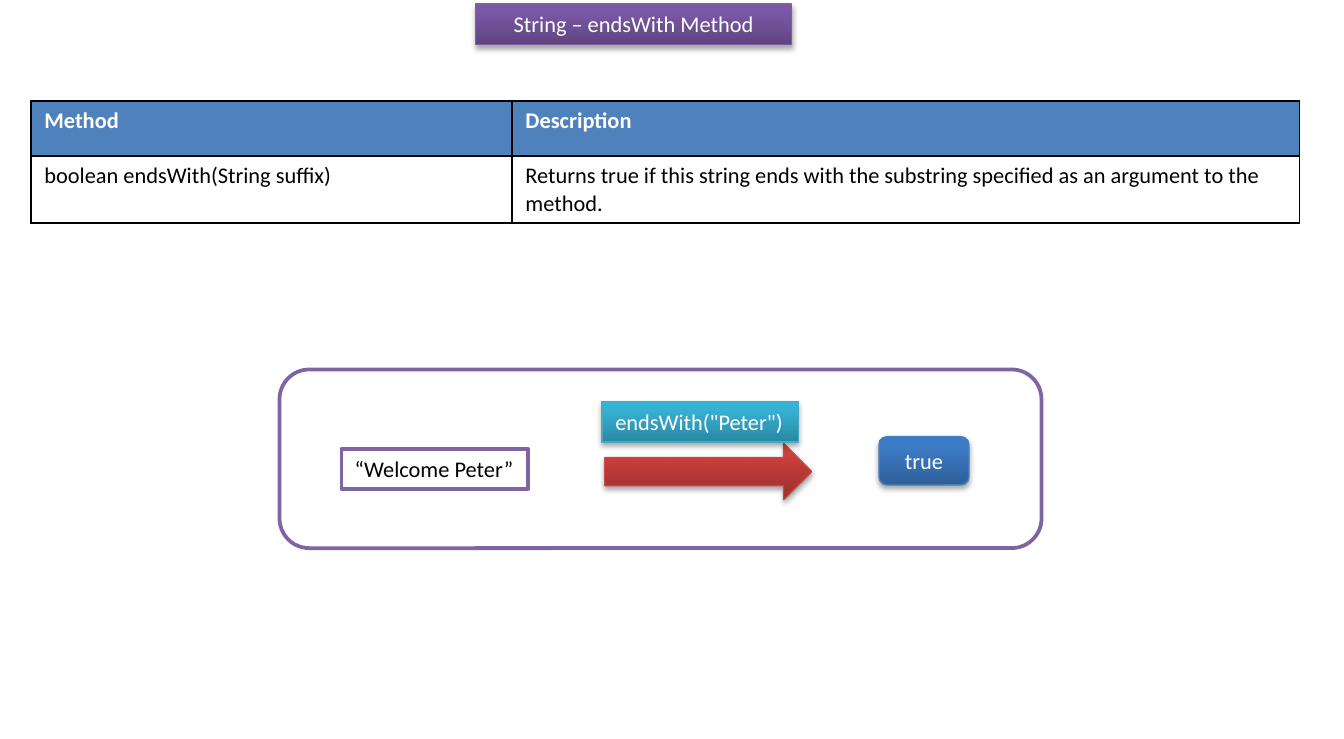
from dataclasses import dataclass

from lxml import etree
from pptx import Presentation
from pptx.dml.color import RGBColor
from pptx.enum.shapes import MSO_SHAPE
from pptx.enum.text import MSO_ANCHOR, MSO_AUTO_SIZE, PP_ALIGN
from pptx.oxml.ns import qn
from pptx.util import Inches, Pt

RECTANGLE = MSO_SHAPE.RECTANGLE
ROUNDED = MSO_SHAPE.ROUNDED_RECTANGLE
RIGHT_ARROW = MSO_SHAPE.RIGHT_ARROW
TOP, MIDDLE = MSO_ANCHOR.TOP, MSO_ANCHOR.MIDDLE
LEFT, CENTER = PP_ALIGN.LEFT, PP_ALIGN.CENTER
GROW = MSO_AUTO_SIZE.SHAPE_TO_FIT_TEXT


@dataclass(frozen=True)
class Gloss:
    """Colours of a glossy shape: gradient from bottom to top, and outline."""
    bottom: str
    middle: str
    top: str
    line: str


@dataclass(frozen=True)
class Theme:
    font: str = "Calibri"
    size: float = 12
    light: str = "FFFFFF"
    dark: str = "000000"
    header: str = "4F81BD"
    frame: str = "8064A2"
    frame_width: float = 2
    gloss_width: float = 0.75
    border_width: float = 1
    purple: Gloss = Gloss("5F4480", "7B58A6", "7C57A8", "7D60A0")
    blue: Gloss = Gloss("2F5F99", "3D7CC7", "3A7CCB", "4B7EBC")
    red: Gloss = Gloss("9C2F2D", "CB3E3A", "CE3B37", "BF4C48")
    teal: Gloss = Gloss("2A88A2", "37B1D2", "34B4D6", "46AAC5")


THEME = Theme()


def add_xml(parent, tag, **attributes):
    return etree.SubElement(parent, qn(tag), attributes)


def add_color(parent, color):
    return add_xml(parent, "a:srgbClr", val=color)


def paint(fill, color):
    fill.solid()
    fill.fore_color.rgb = RGBColor.from_string(color)


def add_outlined(page, kind, place, line, width):
    shape = page.shapes.add_shape(kind, *map(Inches, place))
    shape.shadow.inherit = False
    shape.line.color.rgb = RGBColor.from_string(line)
    shape.line.width = Pt(width)
    return shape


def add_framed(page, kind, place):
    shape = add_outlined(page, kind, place, THEME.frame, THEME.frame_width)
    paint(shape.fill, THEME.light)
    return shape


def add_glossy(page, kind, place, gloss):
    """Add a shape with a vertical gradient and a soft shadow below."""
    shape = add_outlined(page, kind, place, gloss.line, THEME.gloss_width)
    shape.fill.gradient()
    shape.fill.gradient_angle = 90
    properties = shape._element.spPr
    stops = properties.find(".//" + qn("a:gsLst"))
    for stop in list(stops):
        stops.remove(stop)
    for percent, color in ((0, gloss.bottom), (80, gloss.middle), (100, gloss.top)):
        add_color(add_xml(stops, "a:gs", pos=str(percent * 1000)), color)
    shadow = add_xml(properties.find(qn("a:effectLst")), "a:outerShdw",
                     blurRad=str(Pt(3.1)), dist=str(Pt(1.8)),
                     dir="5400000", rotWithShape="0")
    add_xml(add_color(shadow, THEME.dark), "a:alpha", val="35000")
    return shape


def write(frame, text, color, align=LEFT, bold=False):
    para = frame.paragraphs[0]
    para.alignment = align
    span = para.add_run()
    span.text = text
    span.font.name = THEME.font
    span.font.size = Pt(THEME.size)
    span.font.bold = bold
    span.font.color.rgb = RGBColor.from_string(color)


def label(shape, text, color, align=LEFT, anchor=TOP, wrap=False, fit=GROW):
    frame = shape.text_frame
    frame.word_wrap = wrap
    frame.auto_size = fit
    frame.vertical_anchor = anchor
    write(frame, text, color, align)


def add_borders(cell):
    properties = cell._tc.get_or_add_tcPr()
    for position, side in enumerate(("a:lnL", "a:lnR", "a:lnT", "a:lnB")):
        line = etree.Element(qn(side), w=str(Pt(THEME.border_width)))
        add_color(add_xml(line, "a:solidFill"), THEME.dark)
        properties.insert(position, line)


def add_method_table(page, place, widths, row_height, rows):
    table = page.shapes.add_table(len(rows), len(widths), *map(Inches, place)).table
    for column, width in zip(table.columns, widths):
        column.width = Inches(width)
    for index, texts in enumerate(rows):
        is_header = index == 0
        table.rows[index].height = Inches(row_height)
        for cell, text in zip(table.rows[index].cells, texts):
            paint(cell.fill, THEME.header if is_header else THEME.light)
            add_borders(cell)
            write(cell.text_frame, text,
                  THEME.light if is_header else THEME.dark, bold=is_header)


def main():
    deck = Presentation()
    deck.slide_width, deck.slide_height = Inches(10), Inches(5.5)
    page = deck.slides.add_slide(deck.slide_layouts[6])

    add_framed(page, ROUNDED, (2.08, 2.75, 5.67, 1.33))
    title = add_glossy(page, RECTANGLE, (3.54, 0.03, 2.35, 0.3), THEME.purple)
    label(title, "String – endsWith Method", THEME.light, CENTER, wrap=True)

    source = add_framed(page, RECTANGLE, (2.54, 3.34, 1.39, 0.3))
    label(source, "“Welcome Peter”", THEME.dark)
    result = add_glossy(page, ROUNDED, (6.54, 3.25, 0.67, 0.36), THEME.blue)
    label(result, "true", THEME.light, CENTER, MIDDLE, wrap=True,
          fit=MSO_AUTO_SIZE.NONE)
    add_glossy(page, RIGHT_ARROW, (4.5, 3.3, 1.54, 0.42), THEME.red)

    add_method_table(page, (0.23, 0.75, 9.44, 0.82), (3.58, 5.86), 0.41, (
        ("Method", "Description"),
        ("boolean endsWith(String suffix)",
         "Returns true if this string ends with the substring specified "
         "as an argument to the method."),
    ))

    call = add_glossy(page, RECTANGLE, (4.48, 2.99, 1.46, 0.3), THEME.teal)
    label(call, 'endsWith("Peter")', THEME.light)

    deck.save("out.pptx")


if __name__ == "__main__":
    main()
